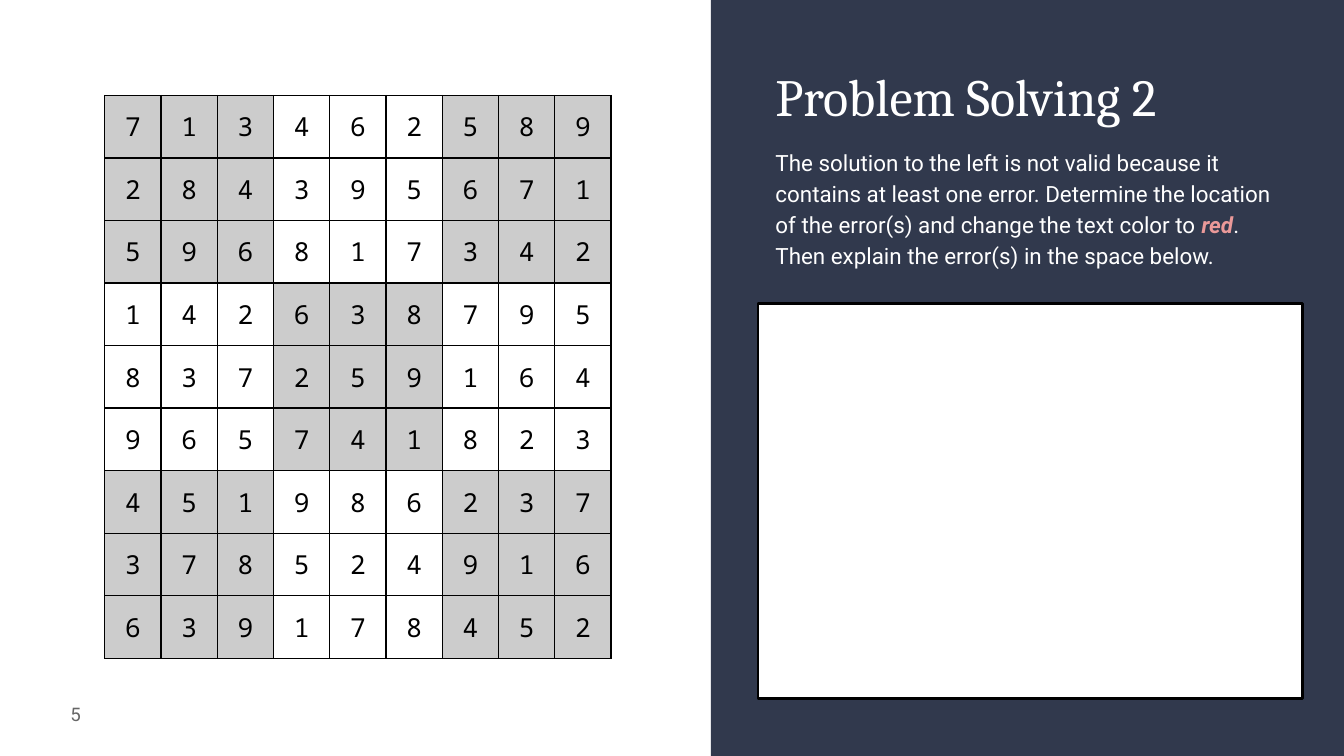
"""Build the "Problem Solving 2" sudoku slide."""
from dataclasses import dataclass

import pptx
import pptx.dml.color
import pptx.enum.shapes
import pptx.enum.text
import pptx.oxml
import pptx.oxml.ns
import pptx.util

TITLE = "Problem Solving 2"
INSTRUCTIONS = [
    ("The solution to the left is not valid because it contains at least one error. "
     "Determine the location of the error(s) and change the text color to ", False),
    ("red", True),
    (". Then explain the error(s) in the space below.", False),
]
PAGE = "5"
SUDOKU = [
    "713462589",
    "284395671",
    "596817342",
    "142638795",
    "837259164",
    "965741823",
    "451986237",
    "378524916",
    "639178452",
]

WIDTH = 10
HEIGHT = WIDTH * 9 / 16
PANEL = (5.29, 0, WIDTH - 5.29, HEIGHT)
COLUMN_LEFT, COLUMN_WIDTH = 5.67, 4.05
TITLE_BOX = (COLUMN_LEFT, 0.38, COLUMN_WIDTH, 0.7)
INSTRUCTIONS_BOX = (COLUMN_LEFT, 0.99, COLUMN_WIDTH, 1.1)
ANSWER_BOX = (5.64, 2.26, COLUMN_WIDTH, 2.94)
PAGE_BOX = (0.1, 5.1, 0.6, 0.43)
GRID_LEFT, GRID_TOP, GRID_SIZE = 0.78, 0.71, 3.77
ROW_HEIGHT = 0.42
INSET = 0.1

ALIGN = pptx.enum.text.PP_ALIGN
ANCHOR = pptx.enum.text.MSO_ANCHOR


@dataclass(frozen=True)
class Theme:
    """Colours, fonts and type sizes of the slide."""
    navy: str = "31394D"
    white: str = "FFFFFF"
    black: str = "000000"
    shade: str = "CCCCCC"
    accent: str = "EA9999"
    muted: str = "666666"
    heading: str = "Cambria"
    text: str = "Roboto"
    digits: str = "Noto Sans Mono"
    title_size: float = 28
    text_size: float = 12
    digit_size: float = 14
    page_size: float = 10
    border: float = 0.75
    frame: float = 1.5


THEME = Theme()


def rgb(color):
    return pptx.dml.color.RGBColor.from_string(color)


def inches(box):
    return [pptx.util.Inches(length) for length in box]


def place(shape, box):
    shape.left, shape.top, shape.width, shape.height = inches(box)


def set_margins(holder):
    holder.margin_left = holder.margin_right = pptx.util.Inches(INSET)
    holder.margin_top = holder.margin_bottom = pptx.util.Inches(INSET)


def style_frame(frame, anchor):
    frame.word_wrap = True
    frame.auto_size = pptx.enum.text.MSO_AUTO_SIZE.NONE
    frame.vertical_anchor = anchor
    set_margins(frame)


def style_paragraph(paragraph, font, size, color, align):
    paragraph.alignment = align
    paragraph.font.name = font
    paragraph.font.size = pptx.util.Pt(size)
    paragraph.font.color.rgb = rgb(color)


def add_rectangle(slide, box, fill, line=None):
    rectangle = slide.shapes.add_shape(
        pptx.enum.shapes.MSO_SHAPE.RECTANGLE, *inches(box))
    rectangle.shadow.inherit = False
    rectangle.fill.solid()
    rectangle.fill.fore_color.rgb = rgb(fill)
    if line:
        rectangle.line.color.rgb = rgb(line)
        rectangle.line.width = pptx.util.Pt(THEME.frame)
    else:
        rectangle.line.fill.background()
    return rectangle


def add_borders(cell):
    properties = cell._tc.get_or_add_tcPr()
    width = pptx.util.Pt(THEME.border)
    for index, side in enumerate(("lnL", "lnR", "lnT", "lnB")):
        properties.insert(index, pptx.oxml.parse_xml(
            f'<a:{side} {pptx.oxml.ns.nsdecls("a")} w="{width}"><a:solidFill>'
            f'<a:srgbClr val="{THEME.black}"/></a:solidFill></a:{side}>'))


def add_title(slide):
    title = slide.shapes.title
    place(title, TITLE_BOX)
    style_frame(title.text_frame, ANCHOR.TOP)
    title.text_frame.text = TITLE
    style_paragraph(title.text_frame.paragraphs[0], THEME.heading,
                    THEME.title_size, THEME.white, ALIGN.LEFT)


def add_instructions(slide):
    instructions = slide.placeholders[1]
    place(instructions, INSTRUCTIONS_BOX)
    style_frame(instructions.text_frame, ANCHOR.MIDDLE)
    paragraph = instructions.text_frame.paragraphs[0]
    style_paragraph(paragraph, THEME.text, THEME.text_size, THEME.white, ALIGN.LEFT)
    paragraph.line_spacing = 1.15
    paragraph.space_before = pptx.util.Pt(0)
    properties = paragraph._p.get_or_add_pPr()
    properties.set("marL", "0")
    properties.set("indent", "0")
    bullet = pptx.oxml.parse_xml(f'<a:buNone {pptx.oxml.ns.nsdecls("a")}/>')
    properties.find(pptx.oxml.ns.qn("a:defRPr")).addprevious(bullet)
    for words, emphasized in INSTRUCTIONS:
        run = paragraph.add_run()
        run.text = words
        run.font.color.rgb = rgb(THEME.accent if emphasized else THEME.white)
        run.font.bold = run.font.italic = emphasized


def add_page_number(slide):
    page = slide.shapes.add_textbox(*inches(PAGE_BOX))
    style_frame(page.text_frame, ANCHOR.MIDDLE)
    page.text_frame.text = PAGE
    style_paragraph(page.text_frame.paragraphs[0], THEME.text,
                    THEME.page_size, THEME.muted, ALIGN.RIGHT)


def add_sudoku(slide):
    count = len(SUDOKU)
    grid = slide.shapes.add_table(count, count, *inches(
        (GRID_LEFT, GRID_TOP, GRID_SIZE, ROW_HEIGHT * count))).table
    grid.first_row = grid.horz_banding = False
    for row, digits in enumerate(SUDOKU):
        for column, digit in enumerate(digits):
            cell = grid.cell(row, column)
            cell.text = digit
            cell.vertical_anchor = ANCHOR.MIDDLE
            set_margins(cell)
            style_paragraph(cell.text_frame.paragraphs[0], THEME.digits,
                            THEME.digit_size, THEME.black, ALIGN.CENTER)
            shaded = (row // 3 + column // 3) % 2 == 0
            cell.fill.solid()
            cell.fill.fore_color.rgb = rgb(THEME.shade if shaded else THEME.white)
            add_borders(cell)


def main():
    deck = pptx.Presentation()
    deck.slide_width, deck.slide_height = inches((WIDTH, HEIGHT))
    slide = deck.slides.add_slide(deck.slide_layouts[1])
    panel = add_rectangle(slide, PANEL, THEME.navy)
    slide.shapes.title._element.addprevious(panel._element)
    add_title(slide)
    add_page_number(slide)
    add_instructions(slide)
    add_sudoku(slide)
    add_rectangle(slide, ANSWER_BOX, THEME.white, THEME.black)
    deck.save("out.pptx")


if __name__ == "__main__":
    main()
